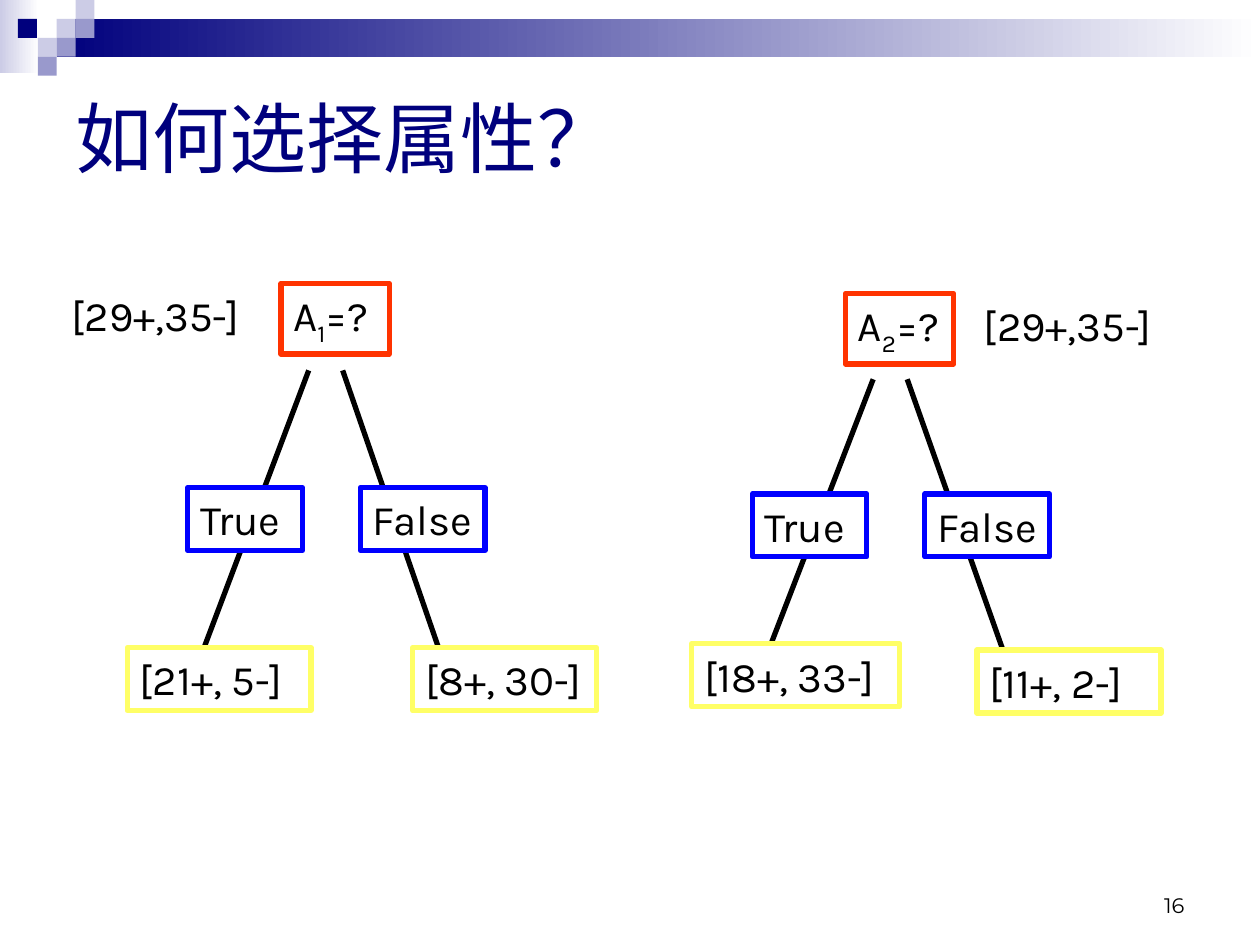
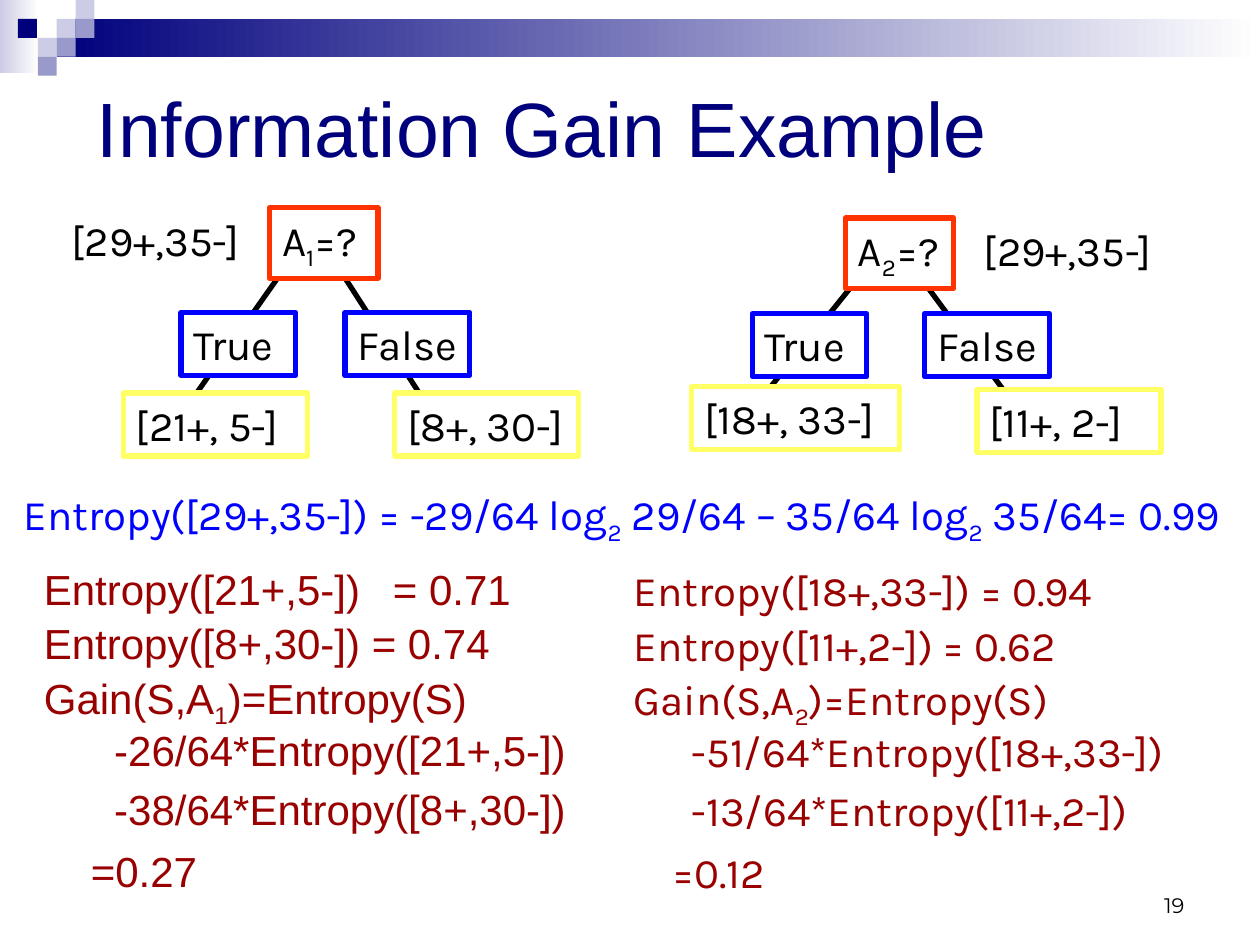
from lxml.etree import SubElement
from pptx import Presentation
from pptx.dml.color import RGBColor
from pptx.enum.shapes import MSO_CONNECTOR as Connector, MSO_SHAPE as Shape
from pptx.enum.text import MSO_ANCHOR as Anchor, PP_ALIGN as Align
from pptx.oxml.ns import qn
from pptx.util import Inches, Pt

# The slide is a grid of 100 columns by 75 rows
COLUMNS, ROWS = 100, 75
CELL = Inches(0.1)
SQUARE = 1.5  # side of a header square, in cells

COLORS = {
    "navy": "00007D", "lilac": "9999CC", "pale": "CCCCE6", "white": "FFFFFF",
    "black": "000000", "root": "FF3300", "node": "0000FF", "leaf": "FFFF66",
    "gain": "990000",
}
STYLES = {
    "title": {"size": Pt(44), "name": "Arial", "color": "navy"},
    "number": {"size": Pt(12), "name": "Montserrat", "color": "black"},
    "tree": {"size": Pt(24), "name": "Karla", "color": "black"},
    "entropy": {"size": Pt(24), "name": "Karla", "color": "node"},
    "gain left": {"size": Pt(24), "name": "Arial", "color": "gain"},
    "gain right": {"size": Pt(24), "name": "Karla", "color": "gain"},
}
GAIN_SPACING = (None, 0.5, 0.5, 0.5, 0.7, 0.7)
GAIN_INDENTS = (0, 0, 0, 6, 6, 4)  # in widths of a space


def cells(*lengths):
    return [round(length * CELL) for length in lengths]


def rgb(name):
    return RGBColor.from_string(COLORS[name])


# Text
def write(paragraph, text, style):
    """Add runs; the character after each underscore is a subscript."""
    first, *rest = text.split("_")
    pieces = [(first, False)]
    for part in rest:
        pieces += [(part[0], True), (part[1:], False)]
    for piece, is_subscript in pieces:
        run = paragraph.add_run()
        run.text = piece
        for attribute, value in STYLES[style].items():
            if attribute == "color":
                run.font.color.rgb = rgb(value)
            else:
                setattr(run.font, attribute, value)
        if is_subscript:
            run.font._element.set("baseline", "-25000")


def prepare_frame(shape, anchor=Anchor.TOP):
    frame = shape.text_frame
    settings = {"word_wrap": True, "vertical_anchor": anchor, "margin_right": 0}
    for attribute, value in settings.items():
        setattr(frame, attribute, value)
    return frame


def add_text(slide, box, text, style, anchor=Anchor.TOP, align=Align.LEFT):
    frame = prepare_frame(slide.shapes.add_textbox(*cells(*box)), anchor)
    frame.paragraphs[0].alignment = align
    write(frame.paragraphs[0], text, style)


def add_gain(slide, box, lines, style, space, tab=None):
    frame = prepare_frame(slide.shapes.add_textbox(*cells(*box)))
    for index, line in enumerate(lines):
        paragraph = frame.add_paragraph() if index else frame.paragraphs[0]
        properties = paragraph._p.get_or_add_pPr()
        properties.set("marL", str(cells(GAIN_INDENTS[index] * space)[0]))
        if "\t" in line:
            stops = SubElement(properties, qn("a:tabLst"))
            SubElement(stops, qn("a:tab"), pos=str(cells(tab)[0]), algn="l")
        if index:
            paragraph.space_before = Pt(15)
            paragraph.line_spacing = GAIN_SPACING[index]
        write(paragraph, line, style)


# Shapes
def add_rectangle(slide, box, *fill_colors):
    """One colour fills solid, two make a gradient from left to right."""
    shape = slide.shapes.add_shape(Shape.RECTANGLE, *cells(*box))
    shape.shadow.inherit = False
    shape.line.fill.background()
    if len(fill_colors) == 1:
        shape.fill.solid()
        shape.fill.fore_color.rgb = rgb(fill_colors[0])
    else:
        shape.fill.gradient()
        shape.fill.gradient_angle = 0
        for stop, color in zip(shape.fill.gradient_stops, fill_colors):
            stop.color.rgb = rgb(color)
    return shape


def add_node(slide, box, text, border):
    shape = add_rectangle(slide, box, "white")
    shape.line.color.rgb = rgb(border)
    shape.line.width = Pt(3)
    paragraph = prepare_frame(shape).paragraphs[0]
    paragraph.alignment = Align.LEFT
    write(paragraph, text, "tree")


def add_branch(slide, start, end):
    branch = slide.shapes.add_connector(Connector.STRAIGHT, *cells(*start, *end))
    branch.line.color.rgb = rgb("black")
    branch.line.width = Pt(3)
    SubElement(branch._element.spPr, qn("a:effectLst"))


def add_tree(slide, tree, x, rows, spread=1):
    """x is the root's left; rows are root, branch start, nodes and both leaves."""
    root, branch_start, nodes, left_leaf, right_leaf = rows

    def column(offset):
        return x + offset * spread

    for start, end in ((2.2, -6.1), (4.9, 12.5)):
        add_branch(slide, (column(start), branch_start), (column(end), right_leaf))
    add_node(slide, (x, root, 8.6, 5.6), tree["test"], "root")
    add_node(slide, (column(-7.4), nodes, 9.1, 5), "True", "node")
    add_node(slide, (column(6.3), nodes, 9.9, 5), "False", "node")
    left_text, right_text = tree["leaves"]
    add_node(slide, (column(-12.2), left_leaf, tree["left width"], 5), left_text, "leaf")
    add_node(slide, (column(10.45), right_leaf, 14.6, 5), right_text, "leaf")
    add_text(slide, (tree["label column"], root, 15.7, 5), "[29+,35-]", "tree")


# Header band, title and page number shared by the slides
def add_header(slide):
    add_rectangle(slide, (0, 0, 3.1, 5.8), "pale", "white")
    add_rectangle(slide, (3 * SQUARE, SQUARE, COLUMNS - 3 * SQUARE, 2 * SQUARE),
                  "navy", "white")
    squares = ((3, 1, "pale"), (4, 0, "pale"), (4, 1, "lilac"), (2, 2, "pale"),
               (0.95, 1, "navy"), (3, 2, "lilac"), (2, 3, "lilac"))
    for column, row, color in squares:
        add_rectangle(slide, (column * SQUARE, row * SQUARE, SQUARE, SQUARE), color)


def add_slide(presentation, title, title_corner, number):
    slide = presentation.slides.add_slide(presentation.slide_layouts[6])
    add_header(slide)
    add_text(slide, (*title_corner, 90, 11.7), title, "title", Anchor.MIDDLE)
    add_text(slide, (71.7, 68.3, 22.3, 5), number, "number", Anchor.BOTTOM, Align.RIGHT)
    return slide


def main():
    presentation = Presentation()
    presentation.slide_width, presentation.slide_height = cells(COLUMNS, ROWS)

    first_tree = {"test": "A_1=?", "leaves": ("[21+, 5-]", "[8+, 30-]"),
                  "left width": 14.6, "label column": 4.7}
    second_tree = {"test": "A_2=?", "leaves": ("[18+, 33-]", "[11+, 2-]"),
                   "left width": 16.5, "label column": 77.1}

    # Choosing an attribute
    slide = add_slide(presentation, "如何选择属性？", (5, 5), "16")
    add_tree(slide, first_tree, 22.3, (22.5, 29.4, 38.7, 51.4, 51.4))
    add_tree(slide, second_tree, 67.1, (23.3, 30.1, 39.2, 51.1, 51.6))

    # Information gain
    slide = add_slide(presentation, "Information Gain Example", (6.7, 4.2), "19")
    add_tree(slide, first_tree, 21.4, (16.5, 20, 24.8, 31.2, 31.2), spread=0.95)
    add_tree(slide, second_tree, 67.1, (17.3, 20.6, 24.9, 30.7, 30.9))
    add_text(slide, (0.9, 38.3, 98.4, 5.6),
             "Entropy([29+,35-]) = -29/64 log_2 29/64 – 35/64 log_2 35/64= 0.99",
             "entropy")
    add_gain(slide, (2.5, 44.2, 47.9, 29.2),
             ("Entropy([21+,5-])\t= 0.71", "Entropy([8+,30-]) = 0.74",
              "Gain(S,A_1)=Entropy(S)", "-26/64*Entropy([21+,5-])",
              "-38/64*Entropy([8+,30-])", "=0.27"),
             "gain left", space=0.93, tab=27.7)
    add_gain(slide, (49.3, 44.3, 47.8, 27.3),
             ("Entropy([18+,33-]) = 0.94", "Entropy([11+,2-]) = 0.62",
              "Gain(S,A_2)=Entropy(S)", "-51/64*Entropy([18+,33-])",
              "-13/64*Entropy([11+,2-])", "=0.12"),
             "gain right", space=0.77)

    presentation.save("out.pptx")


if __name__ == "__main__":
    main()
